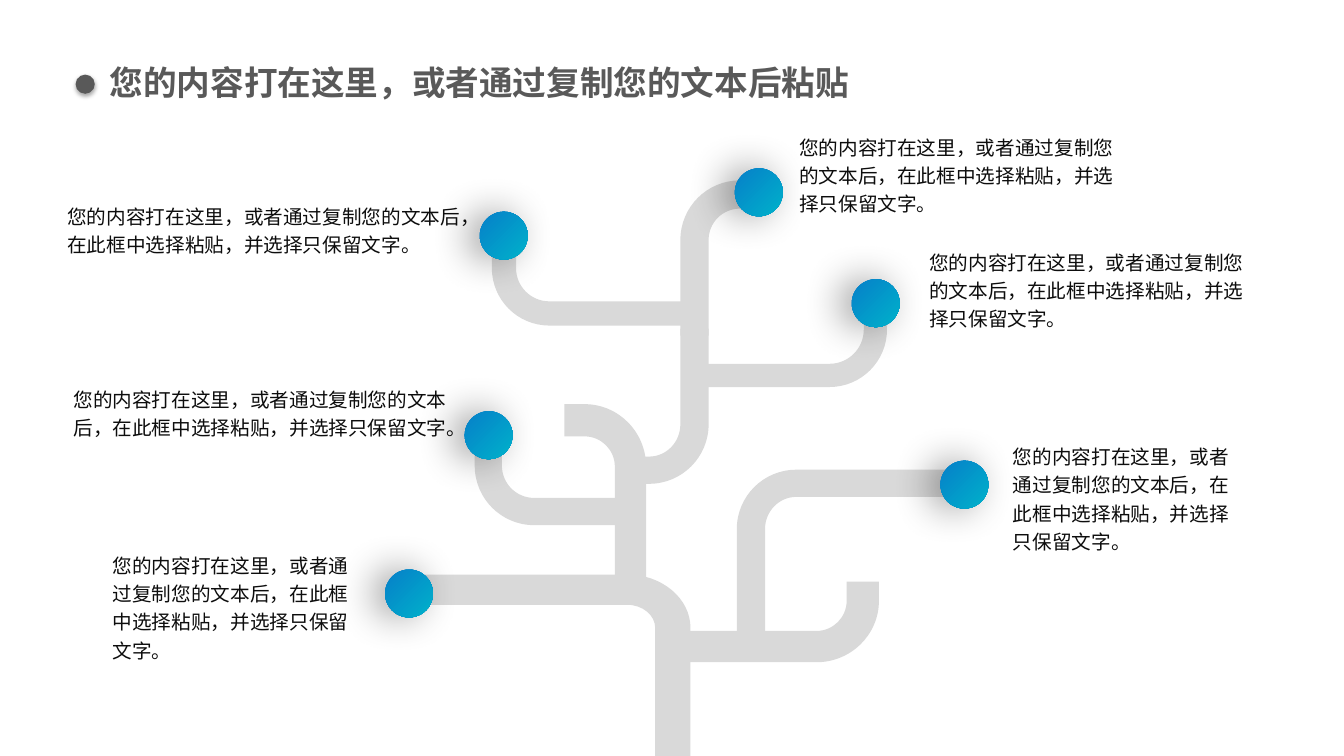
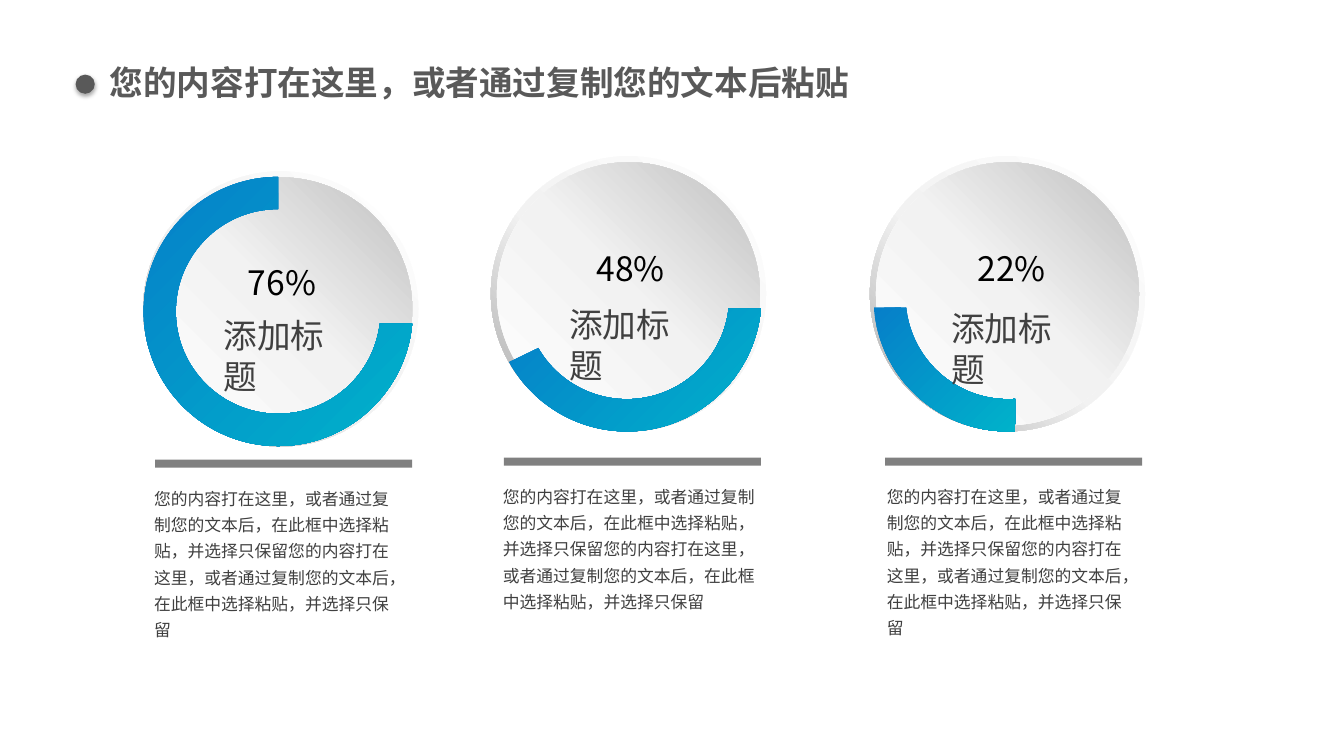
from math import cos, floor, radians, sin, tan
from typing import NamedTuple

from lxml.etree import SubElement
from pptx import Presentation
from pptx.dml.color import RGBColor
from pptx.enum.shapes import MSO_SHAPE as SHAPE
from pptx.enum.text import MSO_AUTO_SIZE as AUTO
from pptx.oxml.ns import qn
from pptx.util import Pt

COLS, ROWS, CELL = 400 / 3, 75, 91440
FONT = "Noto Sans CJK SC"
TITLE = "您的内容打在这里，或者通过复制您的文本后粘贴"
NOTE = "您的内容打在这里，或者通过复制您的文本后，在此框中选择粘贴，并选择只保留文字。"
DETAIL = ("您的内容打在这里，或者通过复制您的文本后，在此框中选择粘贴，并选择只保留"
          "您的内容打在这里，或者通过复制您的文本后，在此框中选择粘贴，并选择只保留")
GREY, BRANCH, BAR, INK, BLACK, BODY = (
    "595959", "D9D9D9", "808080", "0D0D0D", "000000", "404040")
BLUE = ([(0, "067FC9"), (100, "00B2CA")], 45)
RIM = ([(0, "FFFFFF"), (55, "F2F2F2"), (100, "A6A6A6")], 135)
DISC = ([(0, "FFFFFF"), (51, "F2F2F2"), (100, "BFBFBF")], 315)
DOT_SHADOW = (35, 3.1, 1.8, 90)
BALL_SHADOW = (40, 29, 8, 180)


class Branch(NamedTuple):
    box: tuple
    corner: str
    upright: float
    level: float
    bend: tuple


class Gauge(NamedTuple):
    percent: str
    disc: tuple
    ring: tuple
    outer: tuple
    inner: tuple
    percent_at: tuple
    label_at: tuple
    bar_at: tuple
    detail_box: tuple


BRANCHES = [
    Branch((40.4, 57, 28.1, 18), "right top", 3.5, 3, (2.8, 2.3)),
    Branch((66.8, 57.7, 20.4, 8), "right bottom", 3.2, 3.1, (3, 3)),
    Branch((69.4, 30.8, 18.6, 7.6), "right bottom", 2.3, 2.3, (3.4, 3.4)),
    Branch((56, 40.1, 8.1, 18.7), "right top", 3.1, 3.2, (3, 3)),
    Branch((73.1, 46.6, 22.7, 18.1), "left top", 2.8, 2.7, (3.1, 3.2)),
    Branch((48.8, 24.7, 19.6, 7.6), "left bottom", 2.4, 2.4, (3.3, 3.3)),
    Branch((47.1, 44.3, 15.4, 7.8), "left bottom", 2.7, 2.7, (3.2, 3.2)),
    Branch((62.5, 32.6, 7.8, 15.4), "right bottom", 2.8, 2.7, (3.1, 3.2)),
    Branch((67.5, 17.9, 7.9, 15.4), "left top", 2.8, 2.8, (3.1, 3.1)),
]
LEAVES = [
    ((38.2, 56.5), (10.2, 54, 27.1, 12.3)),
    ((46.1, 40.8), (6.3, 37.5, 39.1, 6.7)),
    ((93.3, 45.7), (99.5, 43.2, 23.5, 12.3)),
    ((84.5, 27.7), (91.2, 23.9, 34.6, 9.5)),
    ((47.6, 21), (5.7, 19.4, 41, 6.7)),
    ((72.9, 16.7), (78.3, 12.5, 34.6, 9.5)),
]
GAUGES = [
    Gauge("76%", (27.85, 30.65), (27.6, 30.9), (5.2, 270), (6.8, 270),
          (23.6, 25.5), (21.2, 30.8), (15.4, 45.6), (14.3, 47.4, 26.3, 19.4)),
    Gauge("48%", (62.35, 29.15), (62.2, 29.45), (5, 151), (6.5, 150),
          (58.2, 24.1), (55.5, 29.7), (50, 45.4), (48.9, 47.2, 27.5, 16.8)),
    Gauge("22%", (99.95, 29.15), (100, 29.45), (87, 175.5), (86, 174),
          (96, 24.1), (93.4, 30.1), (87.8, 45.4), (87, 47.2, 26.7, 19.4)),
]


def rgb(value):
    return RGBColor.from_string(value)


def emu(*cells):
    return [round(c * CELL) for c in cells]


def line(*points):
    return [(point,) for point in points]


def arc(cx, cy, rx, ry, start, end):
    low, high = sorted((start, end))
    quarters = [90 * q for q in range(floor(low / 90) + 1, 4) if 90 * q < high]
    stops = sorted([low, *quarters, high], reverse=end < start)

    def at(angle, push=0):
        a = radians(angle)
        return cx + rx * (cos(a) - push * sin(a)), cy + ry * (sin(a) + push * cos(a))

    segments = line(at(start))
    for a, b in zip(stops, stops[1:]):
        push = 4 / 3 * tan(radians(b - a) / 4)
        segments.append((at(a, push), at(b, -push), at(b)))
    return segments


class Deck:
    def __init__(self):
        self.prs = Presentation()
        self.prs.slide_width, self.prs.slide_height = emu(COLS, ROWS)

    def new_slide(self, title):
        self.slide = self.prs.slides.add_slide(self.prs.slide_layouts[6])
        self.shapes = self.slide.shapes
        self.text((9.9, 5.7, 89.1, 5), title, 24, GREY, bold=True)
        self.shape(SHAPE.OVAL, (7.5, 7.4, 1.9, 1.9), GREY, DOT_SHADOW)

    def start_group(self):
        self.shapes = self.slide.shapes.add_group_shape().shapes

    def end_group(self):
        self.shapes = self.slide.shapes

    def text(self, box, words, size, color, bold=False, spacing=None):
        tf = self.shapes.add_textbox(*emu(*box)).text_frame
        tf.word_wrap = True
        tf.auto_size = AUTO.SHAPE_TO_FIT_TEXT
        p = tf.paragraphs[0]
        p.add_run().text = words
        p.line_spacing = spacing
        font = p.font
        font.size, font.bold, font.name = Pt(size), bold, FONT
        font.color.rgb = rgb(color)
        SubElement(p._p.pPr.find(qn("a:defRPr")), qn("a:ea"), typeface=FONT)

    def paint(self, sp, fill, shadow=None):
        sp.line.fill.background()
        if isinstance(fill, str):
            sp.fill.solid()
            sp.fill.fore_color.rgb = rgb(fill)
        else:
            self.gradient(sp, *fill)
        sp.shadow.inherit = False
        if shadow:
            self.cast(sp, *shadow)

    def gradient(self, sp, stops, angle):
        sp.fill.gradient()
        sp.fill.gradient_angle = 360 - angle
        gs_list = sp._element.spPr.find(qn("a:gradFill")).find(qn("a:gsLst"))
        gs_list.clear()
        for pos, color in stops:
            gs = SubElement(gs_list, qn("a:gs"), pos=str(pos * 1000))
            SubElement(gs, qn("a:srgbClr"), val=color)

    def cast(self, sp, alpha, blur, distance, angle):
        effects = sp._element.spPr.find(qn("a:effectLst"))
        outer = SubElement(effects, qn("a:outerShdw"), blurRad=str(Pt(blur)),
                           dist=str(Pt(distance)), dir=str(angle * 60000),
                           algn="ctr", rotWithShape="0")
        clr = SubElement(outer, qn("a:srgbClr"), val=BLACK)
        SubElement(clr, qn("a:alpha"), val=str(alpha * 1000))

    def shape(self, kind, box, fill, shadow=None):
        sp = self.shapes.add_shape(kind, *emu(*box))
        self.paint(sp, fill, shadow)
        return sp

    def round_shape(self, kind, center, size, fill):
        x, y = (c - size / 2 for c in center)
        return self.shape(kind, (x, y, size, size), fill)

    def outline(self, segments, fill):
        first, *rest = [emu(*segment[-1]) for segment in segments]
        builder = self.shapes.build_freeform(*first)
        builder.add_line_segments(rest, close=True)
        sp = builder.convert_to_shape()
        steps = list(sp._element.iter(qn("a:lnTo")))
        for step, (*handles, _) in zip(steps, segments[1:]):
            if handles:
                self.curve(sp, step, handles)
        self.paint(sp, fill)

    def curve(self, sp, step, handles):
        step.tag = qn("a:cubicBezTo")
        for i, handle in enumerate(handles):
            x, y = emu(*handle)
            pt = SubElement(step, qn("a:pt"), x=str(x - sp.left), y=str(y - sp.top))
            step.insert(i, pt)

    def branch(self, b):
        left, top, width, height = b.box
        bend_x, bend_y = b.bend
        rx, ry = bend_x + b.upright, bend_y + b.level
        segments = [*line((width, 0)), *arc(rx, ry, rx, ry, 270, 180),
                    *line((0, height), (b.upright, height)),
                    *arc(rx, ry, bend_x, bend_y, 180, 270),
                    *line((width, b.level))]

        def place(u, v):
            return (left + (width - u if "right" in b.corner else u),
                    top + (height - v if "bottom" in b.corner else v))

        self.outline([[place(*pt) for pt in seg] for seg in segments], BRANCH)

    def gauge(self, g):
        self.start_group()
        rim = self.round_shape(SHAPE.DONUT, g.disc, 27.3, RIM)
        rim.adjustments[0] = 0.05
        self.round_shape(SHAPE.OVAL, g.disc, 26.1, DISC)
        self.outline(arc(*g.ring, 13.35, 13.35, *g.outer)
                     + arc(*g.ring, 10.15, 10.15, *reversed(g.inner)), BLUE)
        self.text((*g.percent_at, 9, 5), g.percent, 24, BLACK)
        self.text((*g.label_at, 12.1, 4), "添加标题", 24, BODY)
        self.end_group()
        self.shape(SHAPE.RECTANGLE, (*g.bar_at, 25.5, 0.8), BAR)
        self.text(g.detail_box, DETAIL, 12, BODY, spacing=1.3)


def main():
    deck = Deck()
    deck.new_slide(TITLE)
    for branch in BRANCHES:
        deck.branch(branch)
    for ball, note_box in LEAVES:
        deck.shape(SHAPE.OVAL, (*ball, 4.75, 4.75), BLUE, BALL_SHADOW)
        deck.text(note_box, NOTE, 14, INK, spacing=1.2)

    deck.new_slide(TITLE)
    for gauge in GAUGES:
        deck.gauge(gauge)
    deck.prs.save("out.pptx")


if __name__ == "__main__":
    main()
